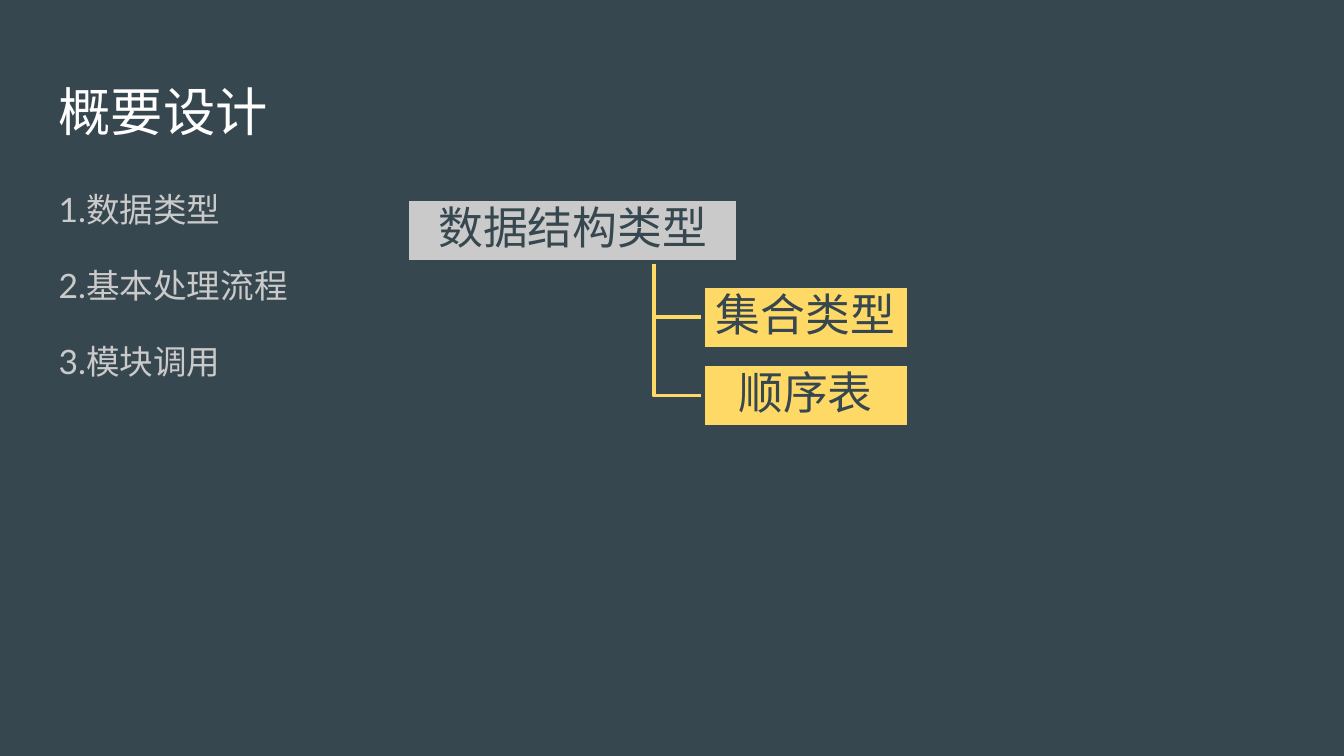
from dataclasses import dataclass

from lxml.etree import SubElement
from pptx import Presentation
from pptx.dml.color import RGBColor
from pptx.enum.shapes import MSO_CONNECTOR, MSO_SHAPE
from pptx.enum.text import MSO_ANCHOR, MSO_AUTO_SIZE, PP_ALIGN
from pptx.oxml.ns import qn
from pptx.util import Cm, Pt


@dataclass(frozen=True)
class Theme:
    background: RGBColor = RGBColor.from_string("37474F")
    white: RGBColor = RGBColor.from_string("FFFFFF")
    grey: RGBColor = RGBColor.from_string("CACACA")
    yellow: RGBColor = RGBColor.from_string("FFD966")
    title_font: str = "Arial Narrow"
    body_font: str = "Lato"
    node_font: str = "Noto Sans CJK SC"
    title_size: Pt = Pt(28)
    body_size: Pt = Pt(18)
    node_size: Pt = Pt(24)
    line_width: Pt = Pt(2)


THEME = Theme()
TEXT_LEFT, TEXT_WIDTH = 0.86, 23.67
NODE_HEIGHT = 1.19


def style_paragraph(paragraph, name, size, color):
    paragraph.font.name = name
    paragraph.font.size = size
    paragraph.font.color.rgb = color


def set_frame(text_frame, margin, anchor):
    text_frame.word_wrap = True
    text_frame.auto_size = MSO_AUTO_SIZE.NONE
    text_frame.vertical_anchor = anchor
    text_frame.margin_left = text_frame.margin_right = Cm(margin)
    text_frame.margin_top = text_frame.margin_bottom = Cm(margin)


def set_title(slide, text):
    title = slide.shapes.title
    title.left, title.top = Cm(TEXT_LEFT), Cm(1.24)
    title.width, title.height = Cm(TEXT_WIDTH), Cm(1.6)
    set_frame(title.text_frame, 0.25, MSO_ANCHOR.TOP)
    title.text_frame.text = text
    paragraph = title.text_frame.paragraphs[0]
    paragraph.alignment = PP_ALIGN.LEFT
    style_paragraph(paragraph, THEME.title_font, THEME.title_size, THEME.white)


def add_outline(slide, items):
    box = slide.shapes.add_textbox(Cm(TEXT_LEFT), Cm(3.2), Cm(TEXT_WIDTH), Cm(9.5))
    set_frame(box.text_frame, 0.25, MSO_ANCHOR.TOP)
    box.text_frame.text = "\n".join(items)
    for paragraph in box.text_frame.paragraphs:
        paragraph.line_spacing = 1.15
        paragraph.space_after = Pt(16)
        style_paragraph(paragraph, THEME.body_font, THEME.body_size, THEME.grey)


def add_branch(slide, start_left, start_top, end_left, end_top):
    connector = slide.shapes.add_connector(
        MSO_CONNECTOR.ELBOW, Cm(start_left), Cm(start_top), Cm(end_left), Cm(end_top))
    connector.line.color.rgb = THEME.yellow
    connector.line.width = THEME.line_width
    SubElement(connector._element.spPr, qn("a:effectLst"))


def add_node(slide, text, left, top, width, fill):
    node = slide.shapes.add_shape(
        MSO_SHAPE.RECTANGLE, Cm(left), Cm(top), Cm(width), Cm(NODE_HEIGHT))
    node.shadow.inherit = False
    node.fill.solid()
    node.fill.fore_color.rgb = fill
    node.line.color.rgb = THEME.background
    node.line.width = THEME.line_width
    set_frame(node.text_frame, 0.04, MSO_ANCHOR.MIDDLE)
    node.text_frame.text = text
    paragraph = node.text_frame.paragraphs[0]
    paragraph.alignment = PP_ALIGN.CENTER
    paragraph.line_spacing = 0.9
    style_paragraph(paragraph, THEME.node_font, THEME.node_size, THEME.background)


def add_type_tree(slide, root, children):
    root_top, branch_left = 3.76, 11.43
    child_left, first_top, step = 13.28, 5.4, 1.48
    tops = [first_top + index * step for index in range(len(children))]

    # Branches lie behind the nodes
    for top in reversed(tops):
        add_branch(slide, branch_left, root_top + NODE_HEIGHT / 2,
                   child_left, top + NODE_HEIGHT / 2)

    add_node(slide, root, 7.7, root_top, 6.25, THEME.grey)
    for child, top in zip(children, tops):
        add_node(slide, child, child_left, top, 3.89, THEME.yellow)


def main():
    presentation = Presentation()
    presentation.slide_width, presentation.slide_height = Cm(25.4), Cm(14.29)
    slide = presentation.slides.add_slide(presentation.slide_layouts[5])
    slide.background.fill.solid()
    slide.background.fill.fore_color.rgb = THEME.background

    # Title and outline
    set_title(slide, "概要设计")
    add_outline(slide, ["1.数据类型", "2.基本处理流程", "3.模块调用"])

    # Hierarchy of data structure types
    add_type_tree(slide, "数据结构类型", ["集合类型", "顺序表"])

    presentation.save("out.pptx")


if __name__ == "__main__":
    main()
